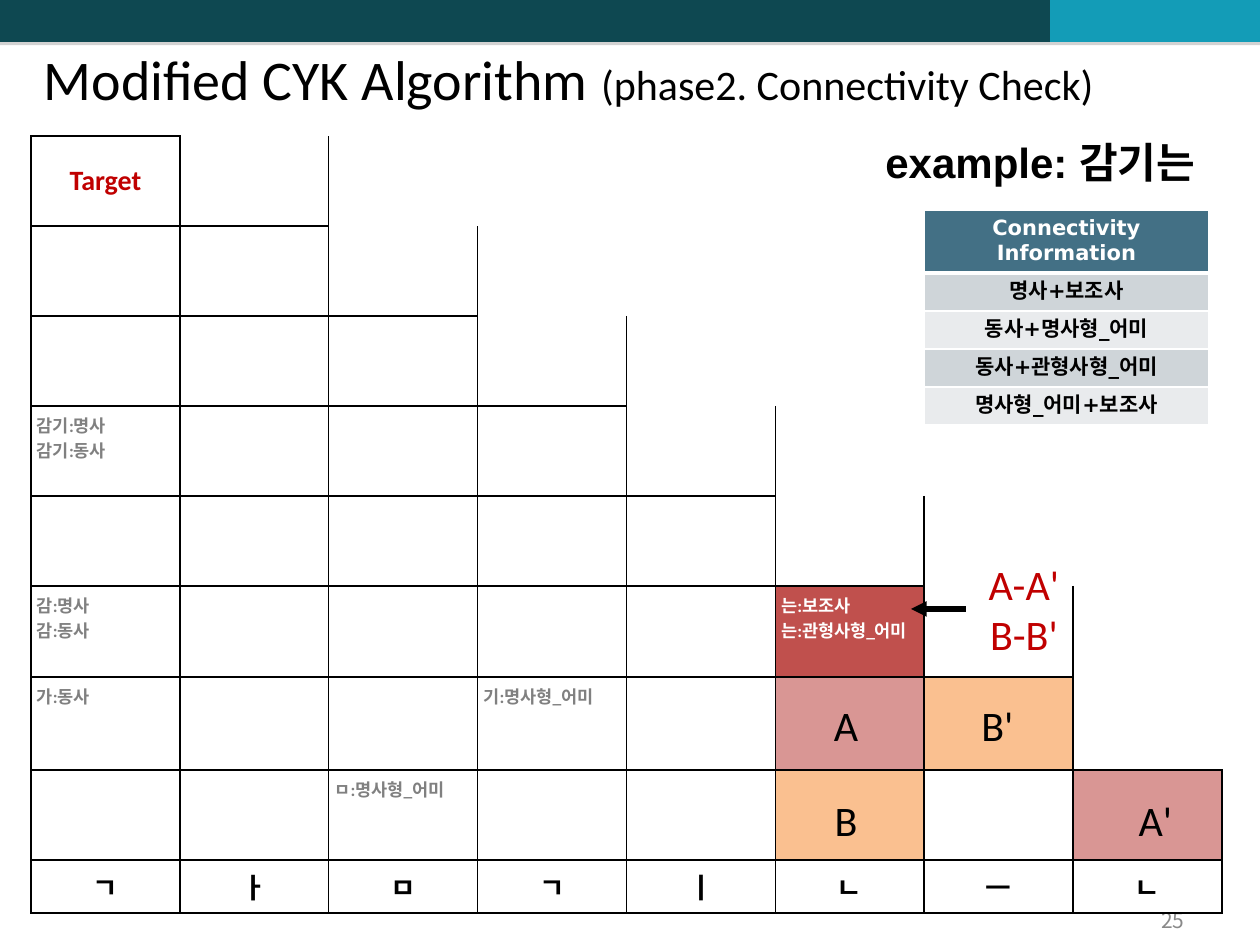
"""Builds the connectivity-check slide of the modified CYK algorithm."""
from lxml import etree
from pptx import Presentation
from pptx.dml.color import RGBColor
from pptx.enum.shapes import MSO_CONNECTOR, MSO_SHAPE
from pptx.enum.text import MSO_ANCHOR, MSO_AUTO_SIZE, PP_ALIGN
from pptx.oxml.ns import qn
from pptx.util import Pt

LEFT, CENTER, RIGHT = PP_ALIGN.LEFT, PP_ALIGN.CENTER, PP_ALIGN.RIGHT
TOP, MIDDLE = MSO_ANCHOR.TOP, MSO_ANCHOR.MIDDLE
SCALE = 914400 / 126
PLAIN_TABLE = "{2D5ABB26-0587-4C30-8999-92F81FD0307C}"
KOREAN = "Noto Sans CJK KR"
COLORS = {
    "teal": "0E4851", "cyan": "139CB7", "shadow": "808080", "page": "898989",
    "black": "000000", "white": "FFFFFF", "gray": "808080", "accent": "C00000",
    "red": "C0504D", "pink": "D99694", "orange": "FAC090",
    "header": "437085", "dark_band": "CFD5D9", "light_band": "E9EBED",
}
BARS = [(0, 514, "teal"), (514, 536, "teal"), (1050, 210, "cyan")]
TITLE = [("Modified CYK Algorithm ", 32), ("(phase2. Connectivity Check)", 24)]
LETTERS = ["ㄱ", "ㅏ", "ㅁ", "ㄱ", "ㅣ", "ㄴ", "ㅡ", "ㄴ"]
CHART_ROWS = [90, 90, 90, 90, 90, 91, 93, 90, 53]
CHART_WORDS = {
    (3, 0): "감기:명사\n감기:동사",
    (5, 0): "감:명사\n감:동사",
    (5, 5): "는:보조사\n는:관형사형_어미",
    (6, 0): "가:동사",
    (6, 3): "기:명사형_어미",
    (7, 2): "ㅁ:명사형_어미",
}
CHART_FILLS = {(5, 5): "red", (6, 5): "pink", (6, 6): "orange",
               (7, 5): "orange", (7, 7): "pink"}
CONNECTIVITY = ["Connectivity Information", "명사+보조사", "동사+명사형_어미",
                "동사+관형사형_어미", "명사형_어미+보조사"]
LABELS = [
    ("A-A'\nB-B'", (966, 552, 116, 115), "accent"),
    ("B", (819, 788, 54, 63), "black"),
    ("B'", (966, 693, 63, 63), "black"),
    ("A'", (1124, 788, 63, 63), "black"),
    ("A", (819, 693, 54, 63), "black"),
]


def px(*lengths):
    return [round(length * SCALE) for length in lengths]


def color(name):
    return RGBColor.from_string(COLORS[name])


def style_span(span, size, name, font="Calibri", asian=KOREAN, bold=False):
    span.font.size, span.font.name, span.font.bold = Pt(size), font, bold
    span.font.color.rgb = color(name)
    latin = span.font._element.find(qn("a:latin"))
    face = etree.Element(qn("a:ea"), typeface=asian)
    latin.addnext(face)


def write(frame, text, align, *style, **options):
    frame.text = text
    for para in frame.paragraphs:
        para.alignment = align
        for span in para.runs:
            style_span(span, *style, **options)


def add_text(page, text, place, align, *style, anchor=TOP, wrap=True, **options):
    frame = page.shapes.add_textbox(*px(*place)).text_frame
    frame.word_wrap, frame.vertical_anchor = wrap, anchor
    write(frame, text, align, *style, **options)


def add_table(page, place, widths, heights):
    table = page.shapes.add_table(len(heights), len(widths), *px(*place)).table
    table._tbl.tblPr.find(qn("a:tableStyleId")).text = PLAIN_TABLE
    table.first_row = table.horz_banding = False
    for column, width in zip(table.columns, px(*widths)):
        column.width = width
    for row, height in zip(table.rows, px(*heights)):
        row.height = height
    return table


def set_borders(cell, name, **widths):
    properties = cell._tc.get_or_add_tcPr()
    for side in "LRTB":
        if side in widths:
            line = etree.SubElement(properties, qn(f"a:ln{side}"), w=str(Pt(widths[side])))
            fill = etree.SubElement(line, qn("a:solidFill"))
            etree.SubElement(fill, qn("a:srgbClr"), val=COLORS[name])


def set_fill(cell, name):
    if name:
        cell.fill.solid()
        cell.fill.fore_color.rgb = color(name)
    else:
        cell.fill.background()


def add_bars(page):
    for left, width, name in BARS:
        bar = page.shapes.add_shape(MSO_SHAPE.RECTANGLE, *px(left, 0, width, 42))
        bar.fill.solid()
        bar.fill.fore_color.rgb = color(name)
        bar.line.fill.background()
        bar.shadow.inherit = False
        effects = bar._element.spPr.find(qn("a:effectLst"))
        shadow = etree.SubElement(effects, qn("a:outerShdw"), blurRad="0",
                                  dist=str(Pt(1.8)), dir="5400000", rotWithShape="0")
        tint = etree.SubElement(shadow, qn("a:srgbClr"), val=COLORS["shadow"])
        etree.SubElement(tint, qn("a:alpha"), val="35000")


def add_title(page):
    title = page.shapes.title
    title.left, title.top, title.width, title.height = px(31, 38, 1191, 98)
    frame = title.text_frame
    frame.auto_size, frame.vertical_anchor = MSO_AUTO_SIZE.NONE, TOP
    para = frame.paragraphs[0]
    para.alignment = LEFT
    for text, size in TITLE:
        span = para.add_run()
        span.text = text
        style_span(span, size, "black")


def add_parse_chart(page):
    count = len(LETTERS)
    table = add_table(page, (31, 136, 1191, sum(CHART_ROWS)),
                      [1191 / count] * count, CHART_ROWS)
    for row in range(len(CHART_ROWS)):
        for column in range(count):
            cell = table.cell(row, column)
            if column <= row:
                set_borders(cell, "black", L=1, R=1, T=1, B=1)
            elif column == row + 1:
                set_borders(cell, "black", L=1, B=1)
            fill = CHART_FILLS.get((row, column))
            set_fill(cell, fill)
            cell.margin_left, cell.margin_right = px(6, 6)
            if (row, column) in CHART_WORDS:
                name = "white" if fill == "red" else "gray"
                write(cell.text_frame, CHART_WORDS[row, column], LEFT, 10, name, bold=True)
    for column, letter in enumerate(LETTERS):
        write(table.cell(count, column).text_frame, letter, CENTER, 16, "black", bold=True)
    target = table.cell(0, 0)
    target.vertical_anchor = MIDDLE
    write(target.text_frame, "Target", CENTER, 16, "accent", bold=True)


def add_connectivity(page):
    heights = [63] + [38] * (len(CONNECTIVITY) - 1)
    table = add_table(page, (924, 210, 285, sum(heights)), [285], heights)
    for row, text in enumerate(CONNECTIVITY):
        cell = table.cell(row, 0)
        set_borders(cell, "white", L=1, R=1, T=3 if row == 1 else 1, B=1 if row else 3)
        band = ("light_band", "dark_band")[row % 2]
        set_fill(cell, band if row else "header")
        write(cell.text_frame, text, CENTER, 12, "black" if row else "white",
              font="DejaVu Sans", asian="DejaVu Sans", bold=True)


def add_arrow(page):
    arrow = page.shapes.add_connector(MSO_CONNECTOR.STRAIGHT, *px(966, 609, 911, 609))
    arrow.line.width = Pt(3)
    arrow.line.color.rgb = color("black")
    etree.SubElement(arrow.line._get_or_add_ln(), qn("a:tailEnd"), type="triangle")
    etree.SubElement(arrow._element.spPr, qn("a:effectLst"))


def main():
    deck = Presentation()
    deck.slide_width, deck.slide_height = px(1260, 945)
    page = deck.slides.add_slide(deck.slide_layouts[5])
    add_bars(page)
    add_text(page, "25", (903, 903, 294, 34), RIGHT, 12, "page", font=KOREAN, anchor=MIDDLE)
    add_parse_chart(page)
    add_text(page, "example: 감기는", (873, 130, 349, 63), LEFT, 24, "black",
             font="Arial", bold=True, wrap=False)
    add_title(page)
    add_connectivity(page)
    for text, place, name in LABELS:
        add_text(page, text, place, CENTER, 24, name)
    add_arrow(page)
    deck.save("out.pptx")


if __name__ == "__main__":
    main()
